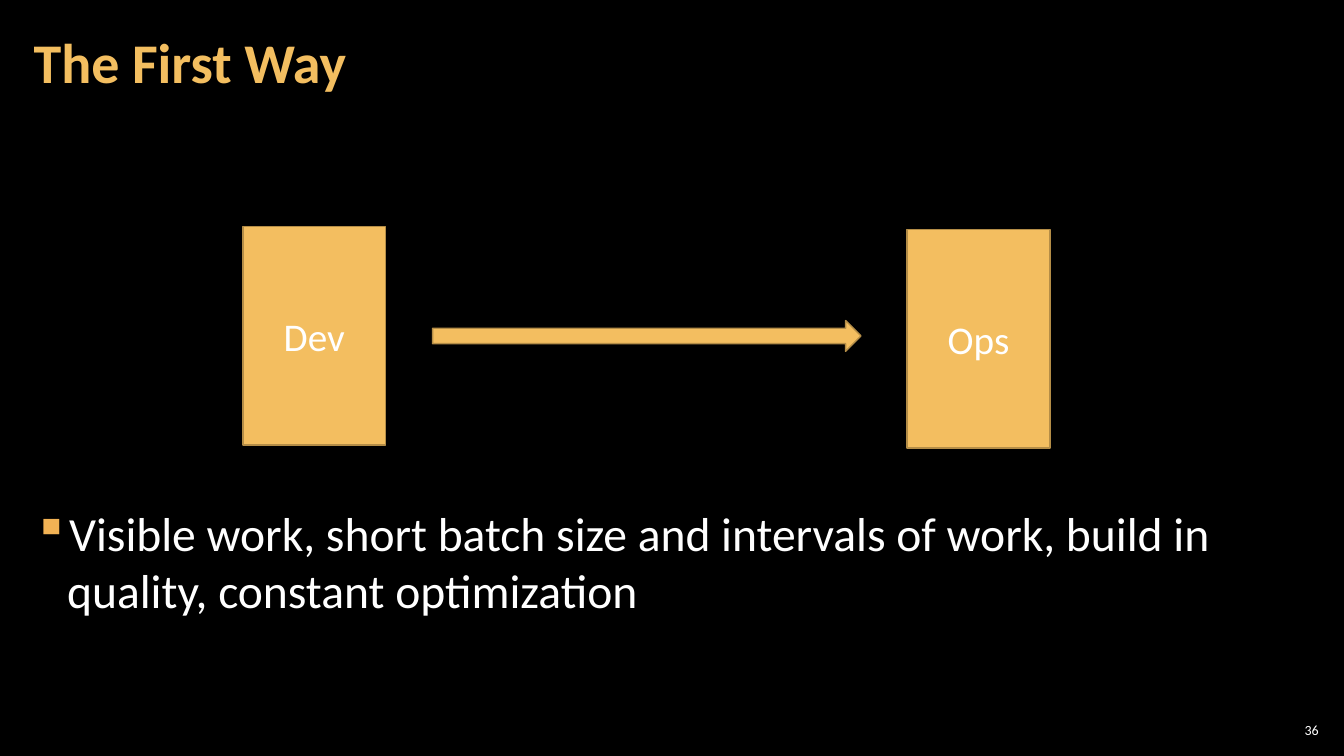
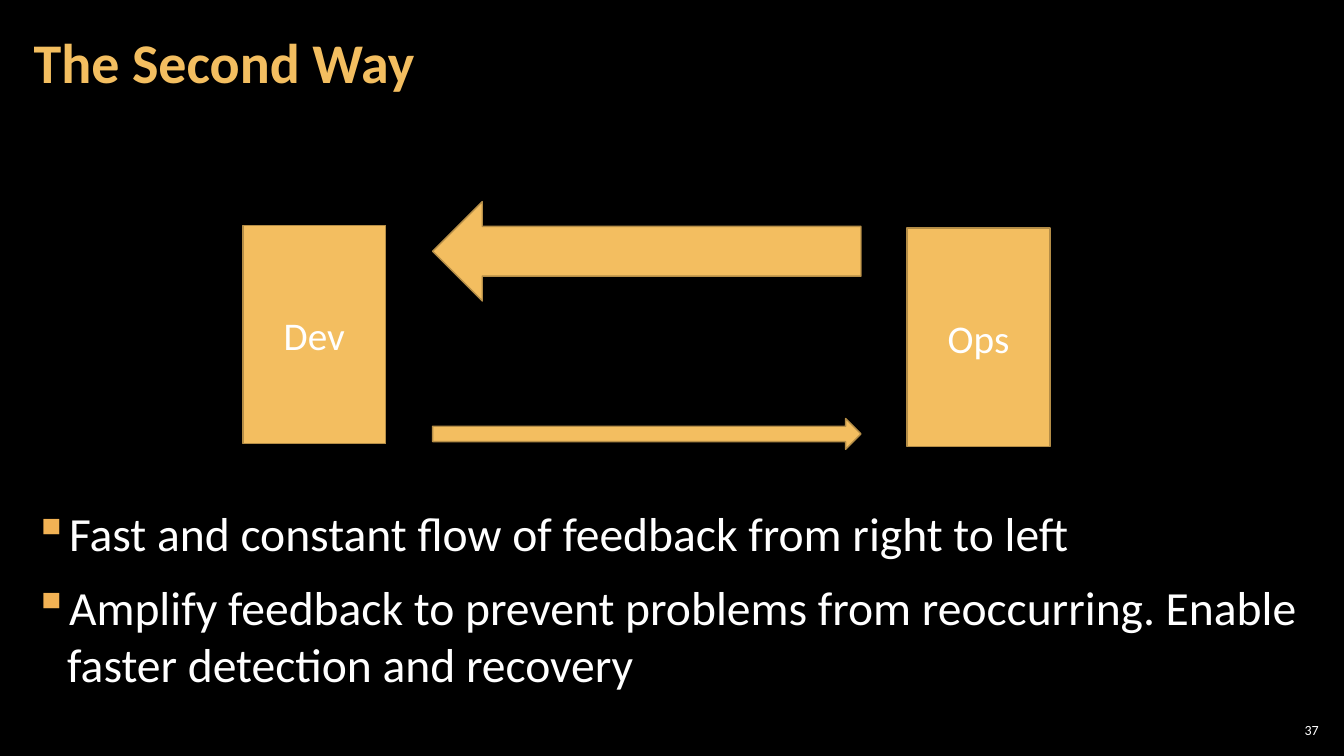
from lxml.etree import SubElement
from pptx import Presentation
from pptx.dml.color import RGBColor
from pptx.enum.shapes import MSO_SHAPE as Preset
from pptx.enum.text import MSO_ANCHOR as Anchor, MSO_AUTO_SIZE as AutoSize, PP_ALIGN as Align
from pptx.oxml.ns import qn
from pptx.util import Pt

COLORS = {
    "background": "000000",
    "text": "FFFFFF",
    "accent": "F3BE60",
    "outline": "B48D47",
    "bullet": "F2B254",
}
FONT = "Calibri"
LEFT = 15
ARROW_LEFT, ARROW_WIDTH = 309, 306


def color(name):
    """Return the named colour."""
    return RGBColor.from_string(COLORS[name])


def add_run(paragraph, text, size, color_name="text", bold=False):
    """Add one formatted run to a paragraph."""
    run = paragraph.add_run()
    run.text = text
    run.font.name = FONT
    run.font.size = Pt(size)
    run.font.bold = bold
    run.font.color.rgb = color(color_name)


def format_frame(shape, side, edge, anchor):
    """Set wrapping, margins and anchor of a text shape and return its frame."""
    frame = shape.text_frame
    frame.word_wrap = True
    frame.auto_size = AutoSize.NONE
    frame.margin_left = frame.margin_right = Pt(side)
    frame.margin_top = frame.margin_bottom = Pt(edge)
    frame.vertical_anchor = anchor
    return frame


def set_title(slide, text):
    """Place and fill the title placeholder."""
    title = slide.shapes.title
    title.left, title.top, title.width, title.height = Pt(LEFT), Pt(3), Pt(754), Pt(87)
    paragraph = format_frame(title, 9, 3, Anchor.MIDDLE).paragraphs[0]
    paragraph.alignment = Align.LEFT
    paragraph.line_spacing = 0.9
    add_run(paragraph, text, 40, "accent", bold=True)


def add_slide_number(slide, number):
    """Add the page number at the lower right."""
    box = slide.shapes.add_textbox(Pt(911), Pt(514), Pt(34), Pt(15))
    paragraph = format_frame(box, 3, 3, Anchor.MIDDLE).paragraphs[0]
    paragraph.alignment = Align.RIGHT
    add_run(paragraph, str(number), 10)


def set_bullet(paragraph):
    """Give a paragraph a hanging square bullet."""
    properties = paragraph._p.get_or_add_pPr()
    properties.set("marL", str(Pt(24)))
    properties.set("indent", str(-Pt(24)))
    bullet_color = SubElement(properties, qn("a:buClr"))
    SubElement(bullet_color, qn("a:srgbClr"), val=COLORS["bullet"])
    SubElement(properties, qn("a:buChar"), char="▪")


def add_bullets(slide, texts):
    """Add the bulleted statements below the diagram."""
    box = slide.shapes.add_textbox(Pt(LEFT), Pt(357), Pt(930), Pt(150))
    frame = format_frame(box, 9, 3, Anchor.TOP)
    for index, text in enumerate(texts):
        paragraph = frame.add_paragraph() if index else frame.paragraphs[0]
        paragraph.space_before = paragraph.space_after = Pt(6)
        set_bullet(paragraph)
        add_run(paragraph, text, 34)


def add_block(slide, preset, left, top, width, height):
    """Add an outlined accent shape."""
    shape = slide.shapes.add_shape(preset, Pt(left), Pt(top), Pt(width), Pt(height))
    shape.shadow.inherit = False
    shape.fill.solid()
    shape.fill.fore_color.rgb = color("accent")
    shape.line.color.rgb = color("outline")
    shape.line.width = Pt(1)
    return shape


def add_team(slide, name, left, top):
    """Add a labelled team box."""
    shape = add_block(slide, Preset.RECTANGLE, left, top, 102, 156)
    paragraph = format_frame(shape, 7.2, 3.6, Anchor.MIDDLE).paragraphs[0]
    paragraph.alignment = Align.CENTER
    add_run(paragraph, name, 28)


def add_way(presentation, number, title, team_top, arrows, bullets):
    """Add a slide with two teams, the arrows between them and bullets."""
    slide = presentation.slides.add_slide(presentation.slide_layouts[5])
    set_title(slide, title)
    add_slide_number(slide, number)
    add_bullets(slide, bullets)
    add_team(slide, "Dev", 173.5, team_top)
    add_team(slide, "Ops", 648, team_top + 2)
    for preset, top, height in arrows:
        add_block(slide, preset, ARROW_LEFT, top, ARROW_WIDTH, height)


def main():
    """Build and save the presentation."""
    presentation = Presentation()
    presentation.slide_width, presentation.slide_height = Pt(960), Pt(540)
    background = presentation.slide_master.background.fill
    background.solid()
    background.fore_color.rgb = color("background")
    add_way(
        presentation, 36, "The First Way", 162,
        [(Preset.RIGHT_ARROW, 229, 22)],
        ["Visible work, short batch size and intervals of work, build in quality, "
         "constant optimization"],
    )
    add_way(
        presentation, 37, "The Second Way", 161,
        [(Preset.RIGHT_ARROW, 299, 22), (Preset.LEFT_ARROW, 144, 71)],
        ["Fast and constant flow of feedback from right to left",
         "Amplify feedback to prevent problems from reoccurring. Enable faster "
         "detection and recovery"],
    )
    presentation.save("out.pptx")


if __name__ == "__main__":
    main()
